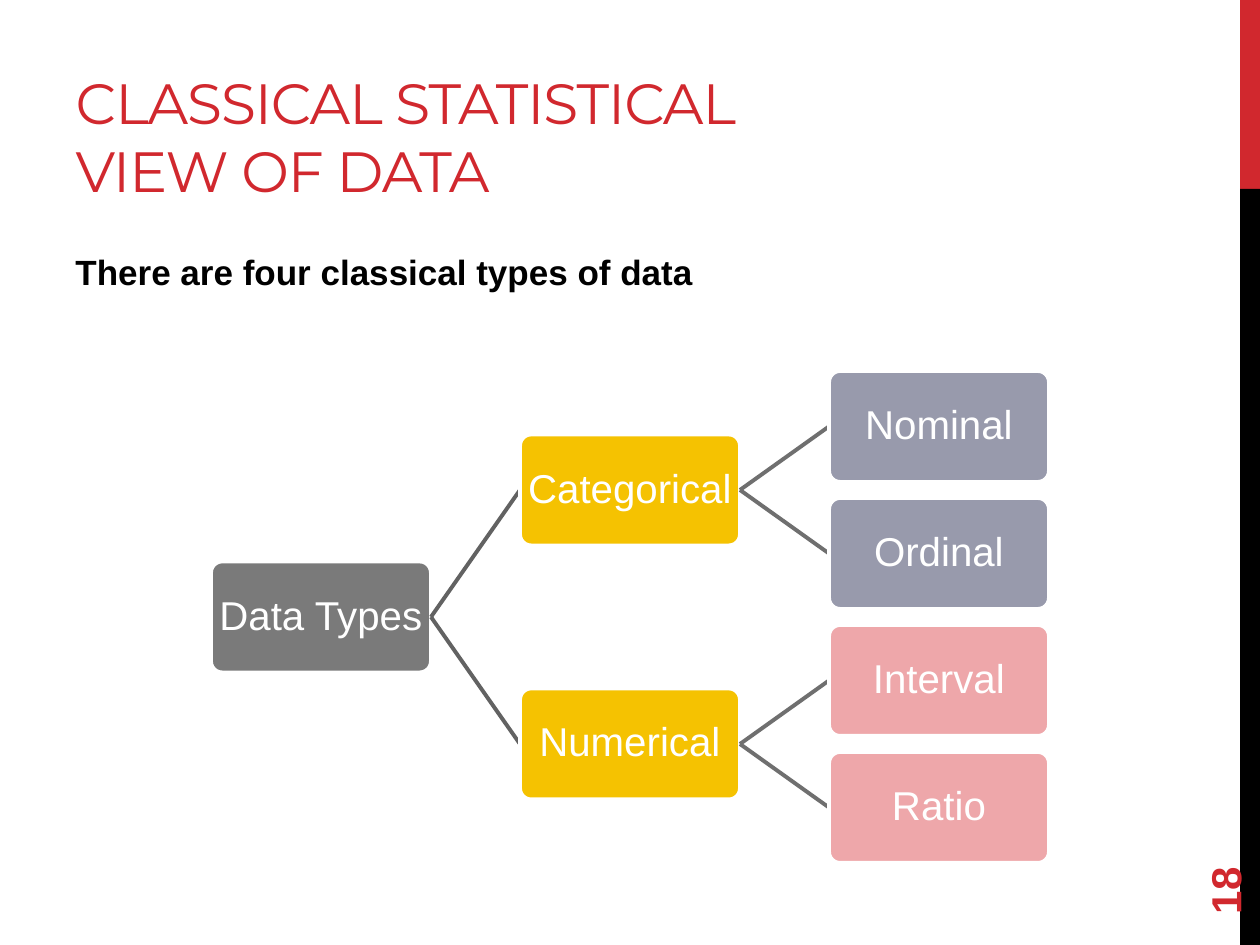
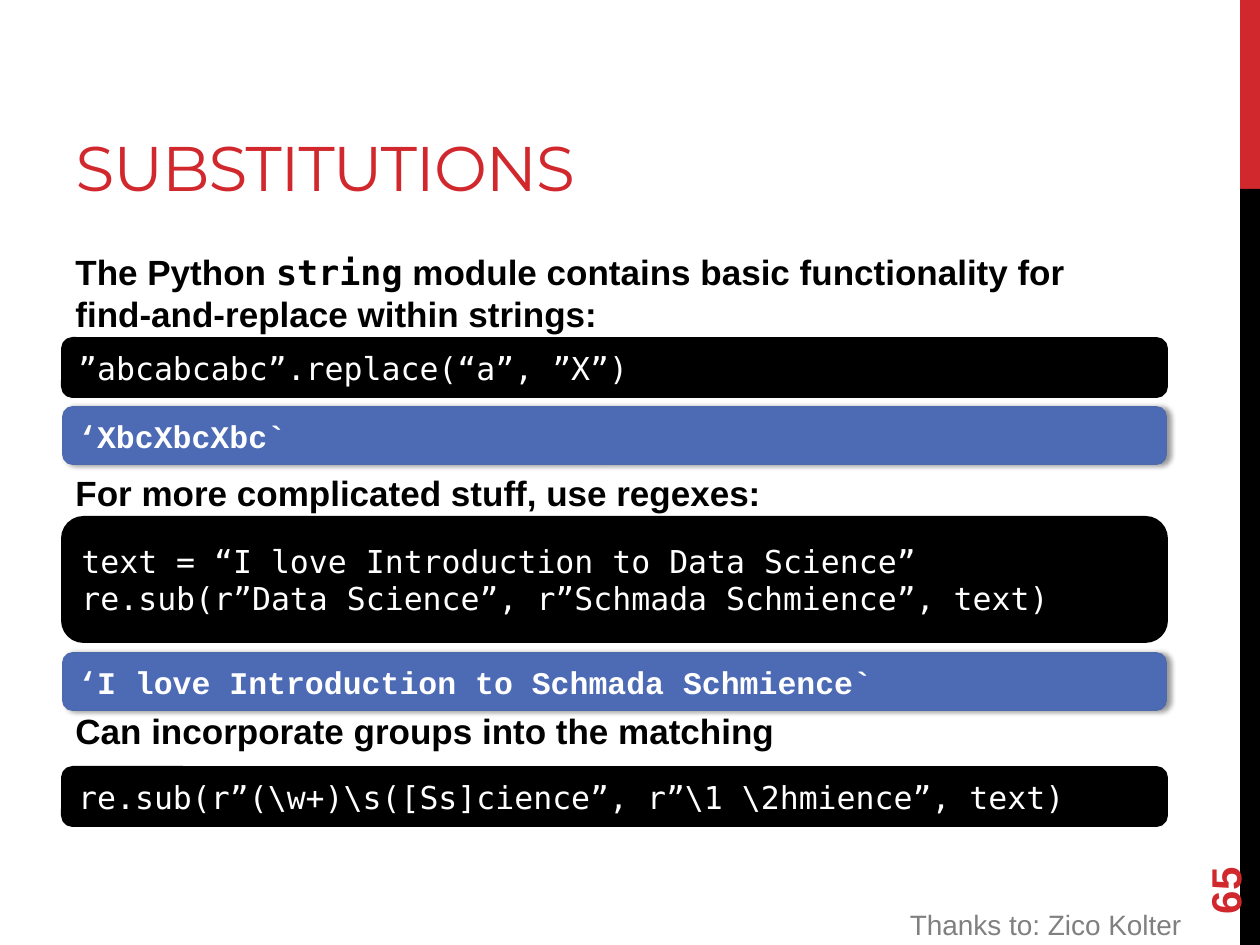
from pptx import Presentation
from pptx.dml.color import RGBColor as Rgb
from pptx.enum.shapes import MSO_CONNECTOR as Line, MSO_SHAPE as Kind
from pptx.enum.text import MSO_ANCHOR as Anchor, MSO_AUTO_SIZE as Fit, PP_ALIGN as Align
from pptx.oxml.ns import qn
from pptx.util import Emu, Pt
from lxml.etree import SubElement as Sub

SCALE = 914400 / 126
WIDE, HIGH = 1260, 945
HUES = {
    "red": "D1282E", "black": "000000", "white": "FFFFFF", "credit": "808080",
    "root": "7A7A7A", "group": "F5C201", "category": "989AAC", "number": "EEA7AA",
    "stem": "626262", "twig": "6F6F6F", "result": "4D6BB5", "edge": "4E6AAE",
}
SANS, HEAD, MONO, TYPED = "Arial", "Montserrat", "DejaVu Sans Mono", "Courier New"


def px(*sizes):
    return [Emu(round(size * SCALE)) for size in sizes]


def hue(name):
    return Rgb.from_string(HUES[name])


def write(shape, text, size=20, color="black", font=SANS, bold=False, align=Align.LEFT,
          anchor=Anchor.TOP, inset=None, leading=None, spread=None):
    """Fill a shape; text is a string or a list of (words, font) runs."""
    frame = shape.text_frame
    frame.word_wrap, frame.auto_size = True, Fit.NONE
    frame.vertical_anchor = anchor
    if inset is not None:
        side, = px(inset)
        frame.margin_left = frame.margin_right = side
        frame.margin_top = frame.margin_bottom = side
    rows = [[(row, font)] for row in text.split("\n")] if isinstance(text, str) else [text]
    for i, row in enumerate(rows):
        para = frame.add_paragraph() if i else frame.paragraphs[0]
        para.alignment = align
        if leading:
            para.line_spacing = leading
        for words, face in row:
            run = para.add_run()
            run.text = words
            run.font.name, run.font.size, run.font.bold = face, Pt(size), bold
            run.font.color.rgb = hue(color)
            if spread is not None:
                run._r.get_or_add_rPr().set("spc", str(spread))


class Deck:
    def __init__(self):
        self.file = Presentation()
        self.file.slide_width, self.file.slide_height = px(WIDE, HIGH)

    def page(self, title, size, number):
        self.slide = self.file.slides.add_slide(self.file.slide_layouts[5])
        self.shapes = self.slide.shapes
        # Side band
        self.shape(Kind.RECTANGLE, (1240, 0, 20, 189), "red")
        self.shape(Kind.RECTANGLE, (1240, 189, 20, 756), "black")
        # Title and page number
        head = self.shapes.title
        head.left, head.top, head.width, head.height = px(63, 21, 798, 189)
        write(head, title, size, "red", HEAD, anchor=Anchor.BOTTOM, spread=-60)
        mark = self.text((1134, 811, 181, 50), str(number), size=24, color="red",
                         bold=True, anchor=Anchor.MIDDLE)
        mark.rotation = 270

    def shape(self, kind, box, fill, edge=None, weight=2.25):
        shape = self.shapes.add_shape(kind, *px(*box))
        shape.shadow.inherit = False
        shape.fill.solid()
        shape.fill.fore_color.rgb = hue(fill)
        if edge:
            shape.line.color.rgb = hue(edge)
            shape.line.width = Pt(weight)
        else:
            shape.line.fill.background()
        return shape

    def text(self, box, text, **style):
        shape = self.shapes.add_textbox(*px(*box))
        write(shape, text, **style)
        return shape

    def lead(self, top, text, high=50):
        self.text((63, top, 1050, high), text, bold=True)

    def link(self, start, color):
        line = self.shapes.add_connector(Line.STRAIGHT, 0, 0, 0, 0)
        line.begin_connect(start, 3)
        line.line.color.rgb = hue(color)
        line.line.width = Pt(2.25)
        Sub(line._element.spPr, qn("a:effectLst"))
        return line

    def node(self, text, col, row, fill, parent=None, stroke="twig"):
        # The link goes in first, so that the node's white edge covers its end
        line = self.link(parent, stroke) if parent else None
        box = (211 + 309 * col, 371 + 127 * row, 220, 111)
        node = self.shape(Kind.ROUNDED_RECTANGLE, box, fill, "white")
        node.adjustments[0] = 0.1
        write(node, text, 23, "white", align=Align.CENTER, anchor=Anchor.MIDDLE,
              inset=2, leading=0.9)
        if line:
            line.end_connect(node, 1)
        return node

    def bar(self, top, text, fill, edge, weight, font, bold=False, high=57):
        bar = self.shape(Kind.ROUNDED_RECTANGLE, (63, top, 1103, high), fill, edge, weight)
        write(bar, text, 18, "white", font, bold, anchor=Anchor.MIDDLE)
        return bar

    def code(self, top, text, high=57):
        self.bar(top, text, "black", "black", 2.25, MONO, high=high)

    def result(self, top, text):
        bar = self.bar(top, text, "result", "edge", 1, TYPED, True)
        effects = bar._element.spPr.find(qn("a:effectLst"))
        shade = Sub(effects, qn("a:outerShdw"), blurRad=str(Pt(3.1)), dist=str(Pt(1.8)),
                    dir="0", rotWithShape="0")
        tint = Sub(shade, qn("a:srgbClr"), val=HUES["black"])
        Sub(tint, qn("a:alpha"), val="40000")


def types(deck):
    deck.page("CLASSICAL STATISTICAL VIEW OF DATA", 32.4, 18)
    deck.lead(244, "There are four classical types of data")
    # Tree: each parent sits midway between its children
    root = deck.node("Data Types", 0, 1.5, "root")
    tree = [("Categorical", "category", ("Nominal", "Ordinal")),
            ("Numerical", "number", ("Interval", "Ratio"))]
    for i, (name, fill, leaves) in enumerate(tree):
        group = deck.node(name, 1, 2 * i + 0.5, "group", root, "stem")
        for j, leaf in enumerate(leaves):
            deck.node(leaf, 2, 2 * i + j, fill, group)


def swaps(deck):
    deck.page("SUBSTITUTIONS", 36, 65)
    # Plain replacement
    deck.lead(244, [("The Python ", SANS), ("string", MONO),
                    (" module contains basic functionality for find-and-replace "
                     "within strings:", SANS)], 94)
    deck.code(339, "”abcabcabc”.replace(“a”, ”X”)")
    deck.result(407, "‘XbcXbcXbc`")
    # Regexes
    deck.lead(465, "For more complicated stuff, use regexes:")
    deck.code(518, "text = “I love Introduction to Data Science”\n"
                   "re.sub(r”Data Science”, r”Schmada Schmience”, text)", 123)
    deck.result(653, "‘I love Introduction to Schmada Schmience`")
    # Groups
    deck.lead(703, "Can incorporate groups into the matching")
    deck.code(768, r"re.sub(r”(\w+)\s([Ss]cience”, r”\1 \2hmience”, text)")
    deck.text((512, 901, 682, 47), "Thanks to: Zico Kolter", size=16, color="credit",
              align=Align.RIGHT)


def main():
    deck = Deck()
    types(deck)
    swaps(deck)
    deck.file.save("out.pptx")


if __name__ == "__main__":
    main()
